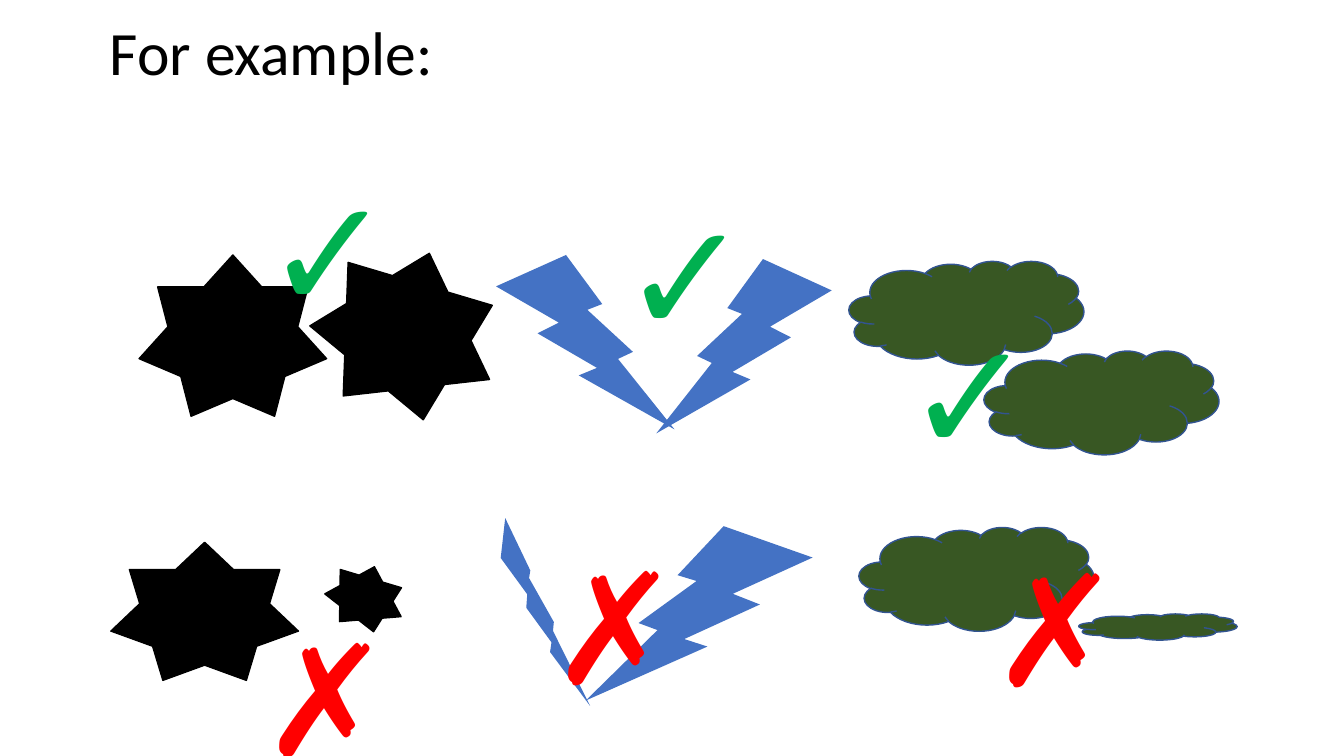
from pptx import Presentation
from pptx.dml.color import RGBColor
from pptx.enum.shapes import MSO_SHAPE as Preset
from pptx.enum.text import MSO_ANCHOR as Anchor, MSO_AUTO_SIZE as AutoSize
from pptx.util import Inches, Pt


def color(value):
    return RGBColor.from_string(value)


class SlideBuilder:
    # preset, fill, outline
    STYLES = {
        "star": (Preset.STAR_7_POINT, "000000", "000000"),
        "bolt": (Preset.LIGHTNING_BOLT, "4472C4", None),
        "cloud": (Preset.CLOUD, "385723", "325491"),
    }
    MARKS = {"✓": "00B050", "✗": "FF0000"}
    FONT = "Calibri"

    def __init__(self, slide):
        self.slide = slide

    def figure(self, kind, box, rotation=0, flipped=False):
        preset, fill, outline = self.STYLES[kind]
        shape = self.slide.shapes.add_shape(preset, *map(Inches, box))
        shape.shadow.inherit = False
        shape.rotation = rotation
        shape.fill.solid()
        shape.fill.fore_color.rgb = color(fill)
        if outline:
            shape.line.color.rgb = color(outline)
            shape.line.width = Pt(1)
        else:
            shape.line.fill.background()
        if flipped:
            shape._element.spPr.xfrm.set("flipH", "1")

    def text(self, words, box, size, ink, frame_format, spacing=None):
        frame = self.slide.shapes.add_textbox(*map(Inches, box)).text_frame
        for name, value in {"word_wrap": True, **frame_format}.items():
            setattr(frame, name, value)
        paragraph = frame.paragraphs[0]
        paragraph.line_spacing = spacing
        run = paragraph.add_run()
        run.text = words
        for name, value in {"name": self.FONT, "size": Pt(size)}.items():
            setattr(run.font, name, value)
        run.font.color.rgb = color(ink)

    def title(self, words, box):
        self.text(words, box, 44, "000000", {"vertical_anchor": Anchor.MIDDLE}, 0.9)

    def mark(self, symbol, left, top, width):
        self.text(symbol, (left, top, width, 1.96), 110.4, self.MARKS[symbol],
                  {"auto_size": AutoSize.SHAPE_TO_FIT_TEXT})


def main():
    presentation = Presentation()
    presentation.slide_width = Inches(13.33)
    presentation.slide_height = Inches(7.5)
    builder = SlideBuilder(presentation.slides.add_slide(presentation.slide_layouts[6]))

    builder.title("For example:", (0.99, -0.17, 10.35, 1.45))

    # Matching pairs
    builder.figure("star", (1.38, 2.53, 1.86, 1.6))
    builder.figure("star", (3.1, 2.48, 1.86, 1.6), rotation=16.6)
    builder.figure("bolt", (4.92, 2.53, 1.77, 1.73))
    builder.figure("bolt", (6.51, 2.57, 1.74, 1.73), flipped=True)
    builder.figure("cloud", (8.42, 2.59, 2.33, 1.03))
    builder.figure("cloud", (9.76, 3.48, 2.33, 1.03))

    # Pairs that differ in size or proportion
    builder.figure("star", (1.1, 5.38, 1.86, 1.37))
    builder.figure("star", (3.23, 5.61, 0.79, 0.62), rotation=16.6)
    builder.figure("bolt", (5.81, 5.22, 2.25, 1.73), flipped=True)
    builder.figure("bolt", (5.15, 5.08, 0.41, 2.03), rotation=342.7)
    builder.figure("cloud", (8.52, 5.23, 2.33, 1.03))
    builder.figure("cloud", (10.7, 6.09, 1.57, 0.26))

    # Verdicts
    for left, top, width in ((2.53, 1.49, 1.43), (6.07, 1.73, 0.47), (8.88, 2.91, 0.47)):
        builder.mark("✓", left, top, width)
    for left, top in ((2.5, 5.92), (5.36, 5.21), (9.74, 5.23)):
        builder.mark("✗", left, top, 1.52)

    presentation.save("out.pptx")


if __name__ == "__main__":
    main()
